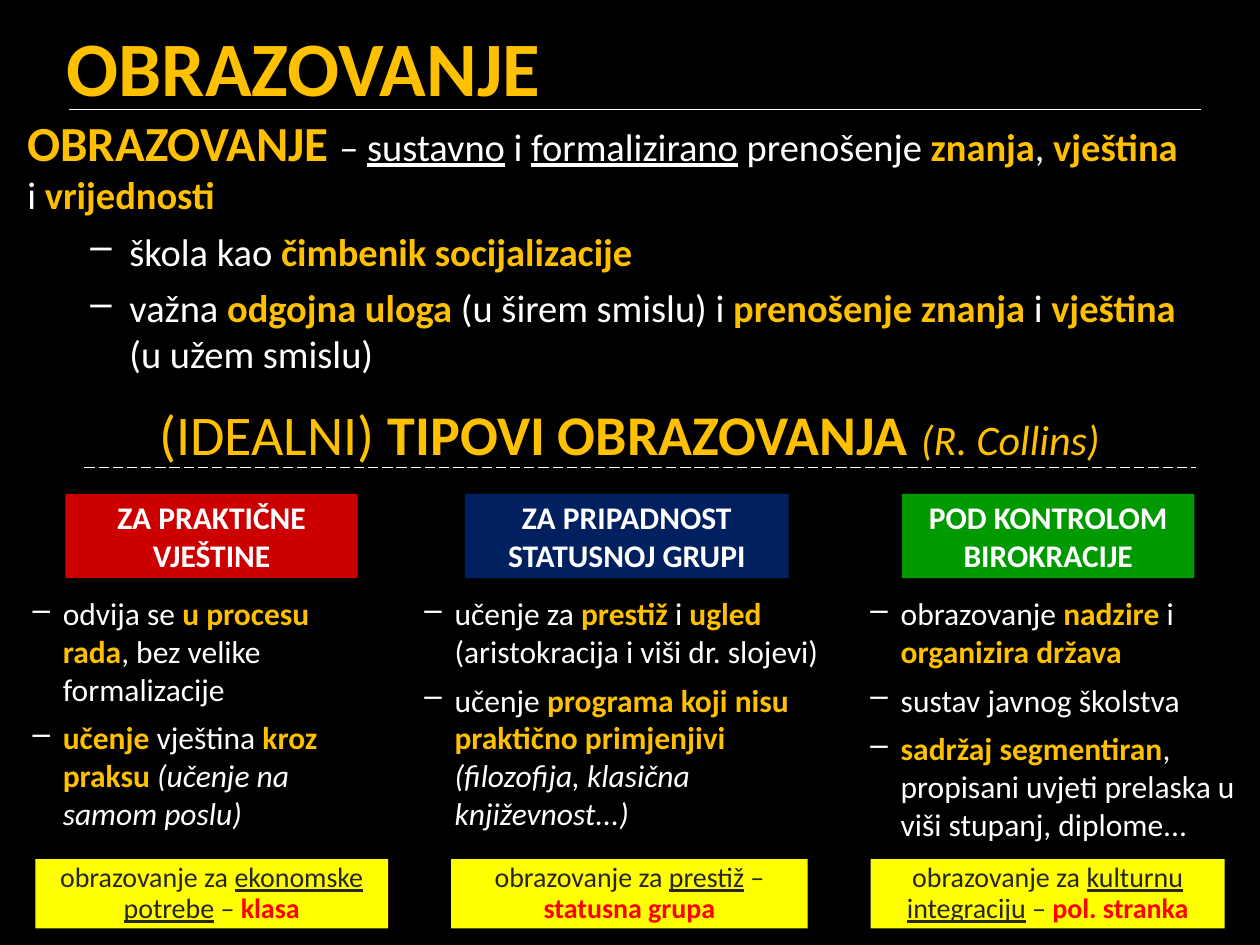
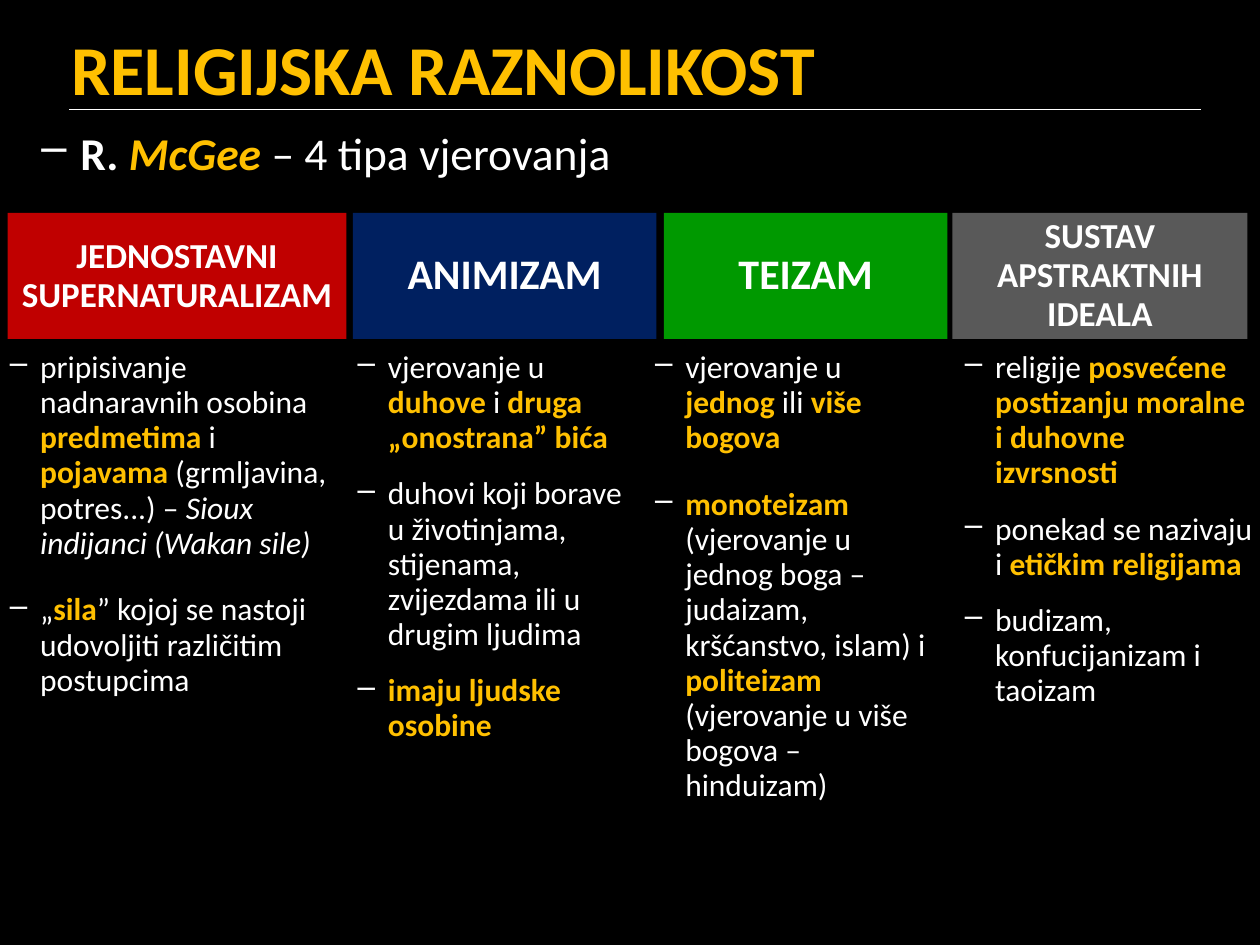
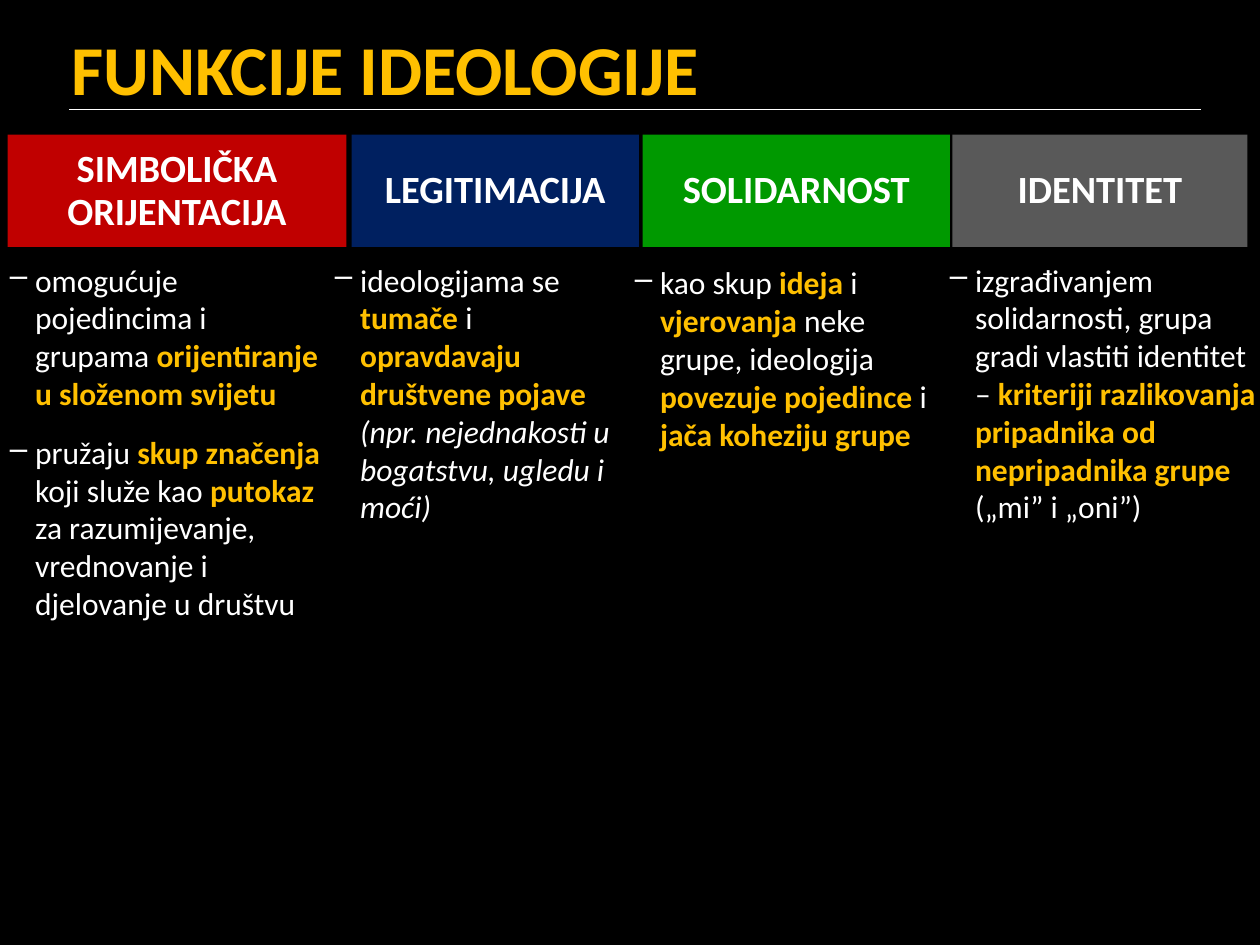
from lxml import etree
from pptx import Presentation
from pptx.dml.color import RGBColor
from pptx.enum import dml, shapes, text
from pptx.oxml.ns import qn
from pptx.util import Pt

COLORS = {
    "black": "000000", "white": "FFFFFF", "gold": "FFC000", "ink": "262626",
    "red": "FF0000", "yellow": "FFFF00", "crimson": "CC0000",
    "darkred": "C00000", "navy": "002060", "green": "009900", "gray": "595959",
}
# Run styles: colour, bold, italic, underline
STYLES = {
    "plain": ("white", False, False, False),
    "bold": ("white", True, False, False),
    "italic": ("white", False, True, False),
    "under": ("white", False, False, True),
    "key": ("gold", True, False, False),
    "keyitalic": ("gold", True, True, False),
    "gold": ("gold", False, False, False),
    "golditalic": ("gold", False, True, False),
    "ink": ("ink", False, False, False),
    "inkunder": ("ink", False, False, True),
    "red": ("red", True, False, False),
}
FONT = "Calibri"
CENTER = text.PP_ALIGN.CENTER
MIDDLE = text.MSO_ANCHOR.MIDDLE
TIGHT = 0.93
FOUR_FILLS = ("darkred", "navy", "green", "gray")


def rgb(name):
    return RGBColor.from_string(COLORS[name])


class Deck:
    """Holds the presentation, its style and the current slide."""

    def __init__(self):
        self.prs = Presentation()
        self.prs.slide_width, self.prs.slide_height = Pt(720), Pt(540)
        self.s = None

    def slide(self, title, box, size=40):
        self.s = self.prs.slides.add_slide(self.prs.slide_layouts[6])
        fill = self.s.background.fill
        fill.solid()
        fill.fore_color.rgb = rgb("black")
        self.line(39.6, 686.2, 62.6, 1)
        self.box(box, [[(title, "key")]], size, anchor=MIDDLE)

    def line(self, x1, x2, y, width, dash=None):
        c = self.s.shapes.add_connector(
            shapes.MSO_CONNECTOR.STRAIGHT, Pt(x1), Pt(y), Pt(x2), Pt(y))
        c.line.color.rgb = rgb("white")
        c.line.width = Pt(width)
        if dash:
            c.line.dash_style = dash
        etree.SubElement(c._element.spPr, qn("a:effectLst"))

    def box(self, at, paras, size, anchor=None, grow=False, **para):
        sp = self.s.shapes.add_textbox(*map(Pt, at))
        tf = sp.text_frame
        tf.word_wrap = True
        if anchor is not None:
            tf.vertical_anchor = anchor
        if grow:
            tf.auto_size = text.MSO_AUTO_SIZE.SHAPE_TO_FIT_TEXT
        self.add_text(tf, paras, size, **para)
        return tf

    def rect(self, at, fill, runs, size, spacing=None, margins=None):
        sp = self.s.shapes.add_shape(shapes.MSO_SHAPE.RECTANGLE, *map(Pt, at))
        sp.shadow.inherit = False
        sp.fill.solid()
        sp.fill.fore_color.rgb = rgb(fill)
        sp.line.fill.background()
        tf = sp.text_frame
        tf.word_wrap = True
        tf.vertical_anchor = MIDDLE
        if margins:
            tf.margin_left = tf.margin_right = Pt(margins[0])
            tf.margin_top = tf.margin_bottom = Pt(margins[1])
        self.add_text(tf, [runs], size, align=CENTER, spacing=spacing)

    def bullets(self, at, paras, before, indent=17.3, spacing=None):
        self.box(at, paras, 18, grow=True, before=before, indent=indent,
                 spacing=spacing)

    def add_text(self, tf, paras, size, align=None, before=0, spacing=None,
                 indent=0):
        for i, runs in enumerate(paras):
            p = tf.paragraphs[0] if i == 0 else tf.add_paragraph()
            if align is not None:
                p.alignment = align
            if i and before:
                p.space_before = Pt(before)
            if spacing:
                p.line_spacing = spacing
            if indent:
                self.dash(p, indent, indent)
            for run in runs:
                self.run(p, size, *run)

    def dash(self, p, left, indent):
        pPr = p._p.get_or_add_pPr()
        pPr.set("marL", str(Pt(left)))
        pPr.set("indent", str(-Pt(indent)))
        clr = etree.SubElement(pPr, qn("a:buClr"))
        etree.SubElement(clr, qn("a:srgbClr"), val=COLORS["white"])
        etree.SubElement(pPr, qn("a:buChar"), char="–")

    def run(self, p, size, words, style="plain", own_size=None):
        if words == "\n":
            p.add_line_break()
            return
        r = p.add_run()
        r.text = words
        f = r.font
        f.name, f.size = FONT, Pt(own_size or size)
        color, f.bold, f.italic, f.underline = STYLES[style]
        f.color.rgb = rgb(color)


def education(d):
    d.slide("OBRAZOVANJE", (31, 11.5, 703.4, 51.8), 44)

    # Definition, then its two dashed points
    tf = d.box((8.6, 60.5, 680.4, 158.4), [[
        ("OBRAZOVANJE ", "key", 28), ("– ",), ("sustavno", "under"), (" i ",),
        ("formalizirano", "under"), (" prenošenje ",), ("znanja", "key"),
        (", ",), ("vještina", "key"), (" i ",), ("vrijednosti", "key")]], 22)
    points = [
        [("škola kao ",), ("čimbenik socijalizacije", "key")],
        [("važna ",), ("odgojna uloga ", "key"), ("(u širem smislu) i ",),
         ("prenošenje znanja", "key"), (" i ",), ("vještina", "key"),
         (" (u užem smislu)",)],
    ]
    for runs in points:
        p = tf.add_paragraph()
        p.space_before = Pt(6)
        d.dash(p, 58.3, 22.3)
        for run in runs:
            d.run(p, 22, *run)

    # Subtitle over a dashed rule
    d.line(48.2, 683.3, 267, 0.75, dml.MSO_LINE.LONG_DASH)
    d.box((42.5, 224.6, 640, 46), [[
        ("(IDEALNI) ", "gold"), ("TIPOVI OBRAZOVANJA ", "key"),
        ("(R. Collins) ", "golditalic", 24)]], 32, grow=True, align=CENTER)

    # Three types: header, points, purpose
    types = [
        ("ZA PRAKTIČNE VJEŠTINE", "crimson", (37.4, 167), (11.5, 212.4),
         [[("odvija se ",), ("u procesu rada", "key"),
           (", bez velike formalizacije",)],
          [("učenje", "key"), (" vještina ",), ("kroz praksu ", "key"),
           ("(učenje na samom poslu)", "italic")]],
         (20.2, 201.6),
         [("ekonomske", "inkunder"), (" ", "ink"), ("potrebe", "inkunder"),
          (" – ", "ink"), ("klasa", "red")]),
        ("ZA PRIPADNOST STATUSNOJ GRUPI", "navy", (265.7, 185), (235.4, 244.1),
         [[("učenje za ",), ("prestiž ", "key"), ("i",), (" ugled", "key"),
           (" (aristokracija i viši dr. slojevi)",)],
          [("učenje ",), ("programa koji nisu praktično primjenjivi ", "key"),
           ("\n",), ("(filozofija, klasična književnost...)", "italic")]],
         (257.8, 203.8),
         [("prestiž", "inkunder"), (" – ", "ink"), ("statusna grupa", "red")]),
        ("POD KONTROLOM BIROKRACIJE", "green", (515.5, 167), (490.3, 238.3),
         [[("obrazovanje ",), ("nadzire ", "key"), ("i",),
           (" organizira država", "key")],
          [("sustav javnog školstva",)],
          [("sadržaj segmentiran", "key"),
           (", propisani uvjeti prelaska u viši stupanj, diplome...",)]],
         (497.5, 202.3),
         [("kulturnu", "inkunder"), (" ", "ink"), ("integraciju", "inkunder"),
          (" – ", "ink"), ("pol. stranka", "red")]),
    ]
    for name, fill, (hx, hw), (bx, bw), paras, (px, pw), purpose in types:
        d.rect((hx, 282.2, hw, 48.2), fill, [(name, "bold")], 18)
        d.rect((px, 491, pw, 39.6), "yellow",
               [("obrazovanje za ", "ink")] + purpose, 16, TIGHT, (0, 2.9))
        d.bullets((bx, 336.2, bw, 144), paras, 6)


def religion(d):
    d.slide("RELIGIJSKA RAZNOLIKOST", (33.8, 10, 703.4, 57))
    d.box((16.6, 67.7, 692, 44), [[
        ("R. ", "bold"), ("McGee ", "keyitalic"), ("– 4 tipa vjerovanja",)]],
        26, indent=22.3)

    # Four belief types: name, size, header span, body box, spacing, points
    beliefs = [
        ("JEDNOSTAVNI SUPERNATURALIZAM", 20, (4.3, 193.7), (-1.4, 201.6, 208),
         18,
         [[("pripisivanje nadnaravnih osobina ",), ("predmetima", "key"),
           (" i ",), ("pojavama", "key"), (" (grmljavina, potres...) – ",),
           ("Sioux indijanci (Wakan sile)", "italic")],
          [("„",), ("sila", "key"),
           ("” kojoj se nastoji udovoljiti različitim postupcima",)]]),
        ("ANIMIZAM", 24, (201.6, 173.5), (197.3, 171.4, 234.7), 12,
         [[("vjerovanje u ",), ("duhove", "key"), (" i ",),
           ("druga „onostrana” bića", "key")],
          [("duhovi koji borave u životinjama, stijenama, zvijezdama ili u "
            "drugim ljudima",)],
          [("imaju ljudske osobine", "key")]]),
        ("TEIZAM", 24, (379.4, 162), (367.2, 174.2, 268.6), 18,
         [[("vjerovanje u ",), ("jednog", "key"), (" ili ",),
           ("više bogova", "key")],
          [("monoteizam", "key"),
           (" (vjerovanje u jednog boga – judaizam, kršćanstvo, islam) i ",),
           ("politeizam", "key"),
           (" (vjerovanje u više bogova – hinduizam)",)]]),
        ("SUSTAV APSTRAKTNIH IDEALA", 20, (544.3, 168.5),
         (544.3, 178.6, 234.7), 12,
         [[("religije ",),
           ("posvećene postizanju moralne i duhovne izvrsnosti", "key")],
          [("ponekad se nazivaju i ",), ("etičkim religijama", "key")],
          [("budizam, konfucijanizam i taoizam",)]]),
    ]
    for fill, (name, size, (hx, hw), (bx, bw, bh), before, paras) in zip(
            FOUR_FILLS, beliefs):
        d.rect((hx, 121.7, hw, 72), fill, [(name, "bold")], size, TIGHT)
        d.bullets((bx, 196.6, bw, bh), paras, before, spacing=TIGHT)


def ideology(d):
    d.slide("FUNKCIJE IDEOLOGIJE", (33.8, 10, 703.4, 57))

    # Four functions: name, header span, body box, points
    functions = [
        ("SIMBOLIČKA ORIJENTACIJA", (4.3, 193.7), (-1.4, 145.4, 191.5, 221.8),
         [[("omogućuje pojedincima i grupama ",),
           ("orijentiranje u složenom svijetu", "key")],
          [("pružaju ",), ("skup značenja ", "key"), ("koji služe kao ",),
           ("putokaz", "key"),
           (" za razumijevanje, vrednovanje i djelovanje u društvu",)]]),
        ("LEGITIMACIJA", (200.9, 164.2), (184.3, 145.4, 181.4, 160),
         [[("ideologijama se ",), ("tumače", "key"), (" i ",),
           ("opravdavaju društvene pojave ", "key"),
           ("(npr. nejednakosti u bogatstvu, ugledu i moći)", "italic")]]),
        ("SOLIDARNOST", (367.2, 175.7), (355.7, 147, 187.9, 116.6),
         [[("kao skup ",), ("ideja ", "key"), ("i ",), ("vjerovanja ", "key"),
           ("neke grupe, ideologija ",), ("povezuje pojedince ", "key"),
           ("i ",), ("jača koheziju grupe", "key")]]),
        ("IDENTITET", (544.3, 168.5), (535.7, 145.4, 193, 160),
         [[("izgrađivanjem solidarnosti, grupa gradi vlastiti identitet – ",),
           ("kriteriji razlikovanja pripadnika od nepripadnika grupe ", "key"),
           ("(„mi” i „oni”)",)]]),
    ]
    for fill, (name, (hx, hw), body, paras) in zip(FOUR_FILLS, functions):
        d.rect((hx, 77, hw, 64.1), fill, [(name, "bold")], 22, TIGHT)
        d.bullets(body, paras, 12, indent=14.4)


def main():
    d = Deck()
    education(d)
    religion(d)
    ideology(d)
    d.prs.save("out.pptx")


if __name__ == "__main__":
    main()
